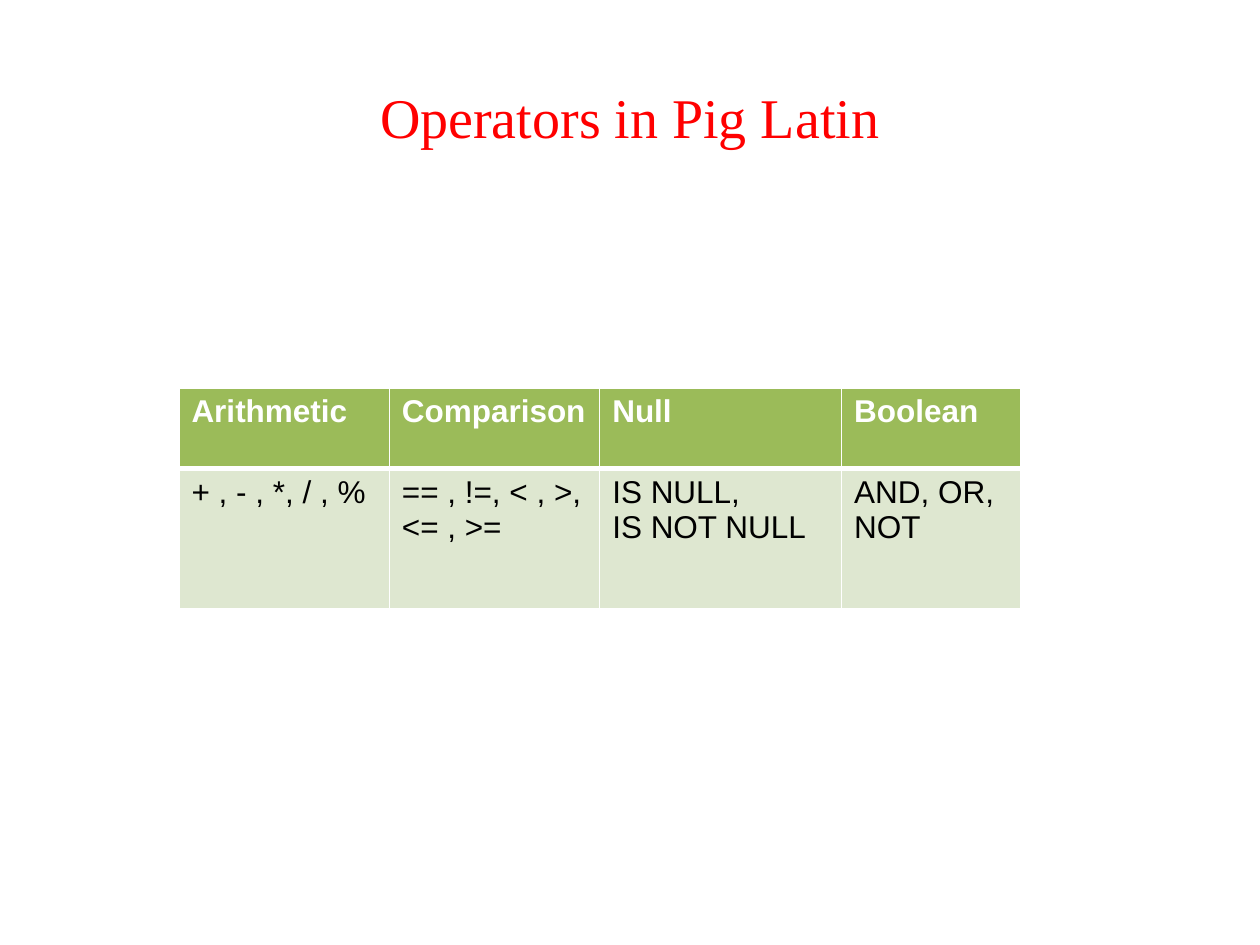
from lxml.etree import SubElement
from pptx import Presentation
from pptx.dml.color import RGBColor
from pptx.enum.text import MSO_ANCHOR, PP_ALIGN
from pptx.oxml.ns import qn
from pptx.util import Inches, Pt

# Content
TITLE = "Operators in Pig Latin"
OPERATORS = [
    ("Arithmetic", "Comparison", "Null", "Boolean"),
    ("+ , - , *, / , %", "== , !=, < , >, <= , >=", "IS NULL,\nIS NOT NULL", "AND, OR, NOT"),
]

# Layout and style
COLUMN_WIDTHS = (1.67, 1.67, 1.92, 1.42)
ROW_HEIGHTS = (0.64, 1.11)
WHITE, BLACK, RED = "FFFFFF", "000000", "FF0000"
GREEN, PALE_GREEN = "9BBB59", "DEE7D0"


def color(value):
    return RGBColor.from_string(value)


def write(frame, text, font="Arial", size=18, fill=BLACK, bold=False, align=PP_ALIGN.LEFT):
    frame.text = text
    for paragraph in frame.paragraphs:
        paragraph.alignment = align
        for run in paragraph.runs:
            run.font.name = font
            run.font.size = Pt(size)
            run.font.bold = bold
            run.font.color.rgb = color(fill)


def add_borders(cell, **widths):
    properties = cell._tc.get_or_add_tcPr()
    for side in "LRTB":
        line = SubElement(properties, qn(f"a:ln{side}"), w=str(Pt(widths.get(side, 1))))
        solid = SubElement(line, qn("a:solidFill"))
        SubElement(solid, qn("a:srgbClr"), val=WHITE)


prs = Presentation()
prs.slide_width, prs.slide_height = Inches(10), Inches(7.5)
slide = prs.slides.add_slide(prs.slide_layouts[5])

# Title
title = slide.shapes.title
title.left, title.top = Inches(0.5), Inches(0.3)
title.width, title.height = Inches(9), Inches(1.25)
heading = title.text_frame
heading.margin_left = heading.margin_right = heading.margin_top = heading.margin_bottom = 0
heading.vertical_anchor = MSO_ANCHOR.MIDDLE
write(heading, TITLE, font="Times New Roman", size=32, fill=RED, align=PP_ALIGN.CENTER)

# Operator table
table = slide.shapes.add_table(
    len(OPERATORS), len(COLUMN_WIDTHS), Inches(1.42), Inches(3.08),
    Inches(sum(COLUMN_WIDTHS)), Inches(sum(ROW_HEIGHTS))).table
for column, width in zip(table.columns, COLUMN_WIDTHS):
    column.width = Inches(width)

for r, (height, labels) in enumerate(zip(ROW_HEIGHTS, OPERATORS)):
    table.rows[r].height = Inches(height)
    header = r == 0
    for c, label in enumerate(labels):
        cell = table.cell(r, c)
        write(cell.text_frame, label, fill=WHITE if header else BLACK, bold=header)
        # A thick rule separates the header from the body
        add_borders(cell, **({"B": 3} if header else {"T": 3}))
        cell.fill.solid()
        cell.fill.fore_color.rgb = color(GREEN if header else PALE_GREEN)

prs.save("out.pptx")
